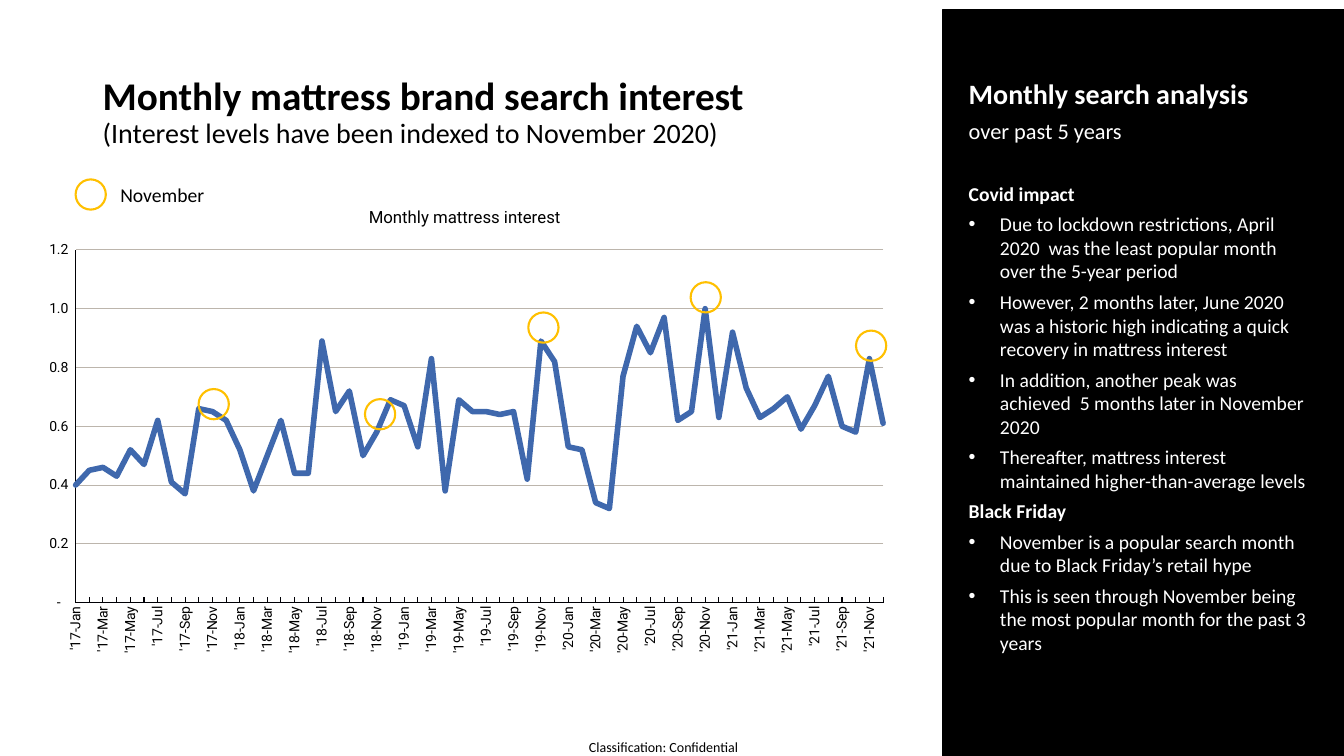
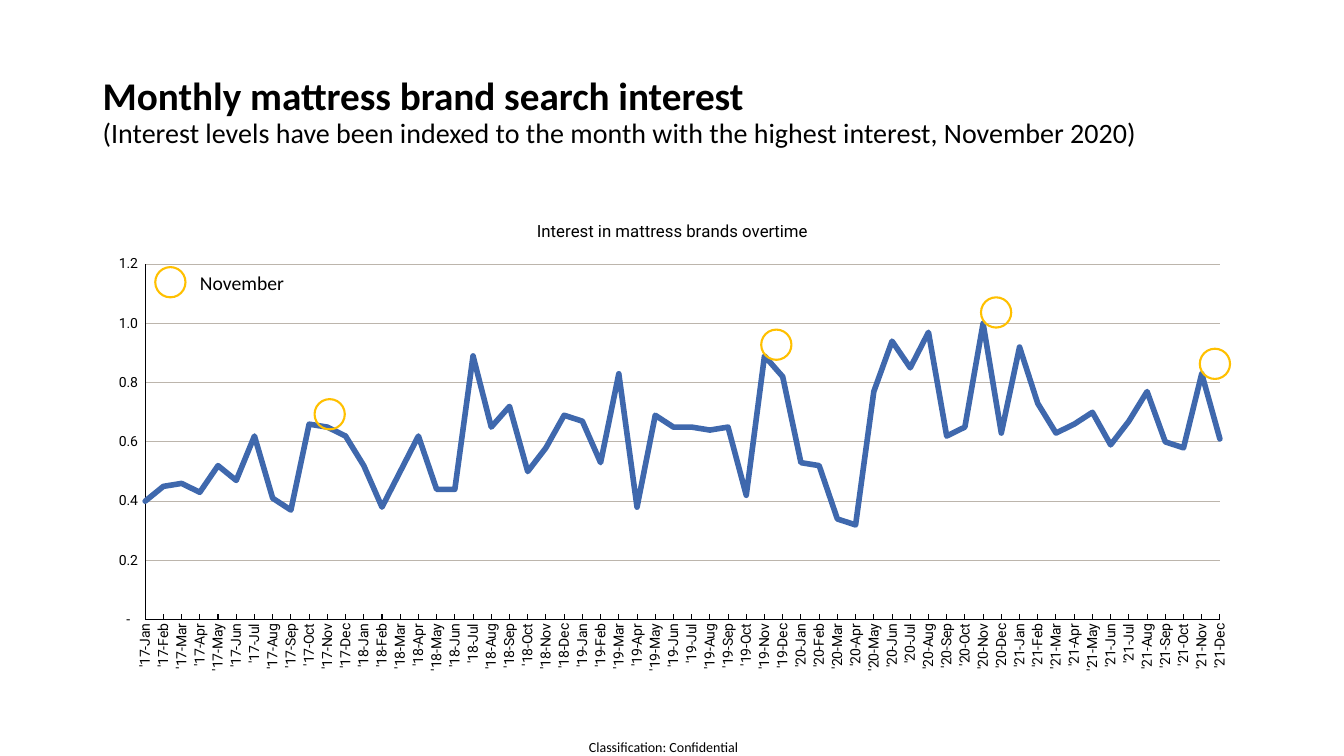
"""Build two slides on monthly mattress brand search interest."""
import dataclasses

import pptx
import pptx.chart.data
import pptx.dml.color
import pptx.enum.chart
import pptx.enum.shapes
import pptx.enum.text
import pptx.oxml.ns
import pptx.oxml.xmlchemy
import pptx.util

Inches = pptx.util.Inches
Pt = pptx.util.Pt
ALIGN = pptx.enum.text.PP_ALIGN
ANCHOR = pptx.enum.text.MSO_ANCHOR
SHAPE = pptx.enum.shapes.MSO_SHAPE
TICK = pptx.enum.chart.XL_TICK_MARK


@dataclasses.dataclass(frozen=True)
class Theme:
    body_font: str = "Calibri"
    chart_font: str = "Roboto"
    ink: str = "000000"
    paper: str = "FFFFFF"
    series: str = "3F68AD"
    marker: str = "FFC000"
    axis: str = "000005"
    grid: str = "BCB5AC"
    title_size: int = 28
    heading_size: int = 20
    lead_size: int = 16
    body_size: int = 14
    chart_title_size: int = 12
    small_size: int = 10


NAMES = ["Jan", "Feb", "Mar", "Apr", "May", "Jun",
         "Jul", "Aug", "Sep", "Oct", "Nov", "Dec"]
MONTHS = [f"'{year}-{name}" for year in range(17, 22) for name in NAMES]
INTEREST = [
    0.4, 0.45, 0.46, 0.43, 0.52, 0.47, 0.62, 0.41, 0.37, 0.66, 0.65, 0.62,
    0.52, 0.38, 0.5, 0.62, 0.44, 0.44, 0.89, 0.65, 0.72, 0.5, 0.58, 0.69,
    0.67, 0.53, 0.83, 0.38, 0.69, 0.65, 0.65, 0.64, 0.65, 0.42, 0.89, 0.82,
    0.53, 0.52, 0.34, 0.32, 0.77, 0.94, 0.85, 0.97, 0.62, 0.65, 1, 0.63,
    0.92, 0.73, 0.63, 0.66, 0.7, 0.59, 0.67, 0.77, 0.6, 0.58, 0.83, 0.61,
]
ANALYSIS = [
    ("Covid impact", [
        "Due to lockdown restrictions, April 2020  was the least popular month over the 5-year period",
        "However, 2 months later, June 2020 was a historic high indicating a quick recovery in mattress interest",
        "In addition, another peak was achieved  5 months later in November 2020",
        "Thereafter, mattress interest maintained higher-than-average levels",
    ]),
    ("Black Friday", [
        "November is a popular search month due to Black Friday’s retail hype",
        "This is seen through November being the most popular month for the past 3 years",
    ]),
]


def color(value):
    return pptx.dml.color.RGBColor.from_string(value)


def element(tag, **attributes):
    node = pptx.oxml.xmlchemy.OxmlElement(tag)
    for name, value in attributes.items():
        node.set(name, str(value))
    return node


class SearchDeck:
    def __init__(self, theme):
        self.theme = theme
        self.deck = pptx.Presentation()
        self.deck.slide_width = Inches(13.33)
        self.deck.slide_height = Inches(7.5)
        self.page = None

    def add_page(self, subtitle, title_width):
        self.page = self.deck.slides.add_slide(self.deck.slide_layouts[6])
        self.footer()
        self.title(subtitle, title_width)

    def style(self, font, size, shade, bold=False, face=None):
        font.name = face or self.theme.body_font
        font.size = Pt(size)
        font.bold = bold
        font.color.rgb = color(shade)

    def span(self, para, text, size, shade=None, bold=False):
        run = para.add_run()
        run.text = text
        self.style(run.font, size, shade or self.theme.ink, bold)

    def box(self, left, top, width, height, anchor=ANCHOR.MIDDLE):
        frame = self.page.shapes.add_textbox(
            Inches(left), Inches(top), Inches(width), Inches(height)).text_frame
        frame.word_wrap = True
        frame.vertical_anchor = anchor
        return frame

    def footer(self):
        frame = self.box(5.82, 7.33, 1.52, 0.17)
        frame.margin_left = frame.margin_right = 0
        frame.margin_top = frame.margin_bottom = 0
        para = frame.paragraphs[0]
        para.alignment = ALIGN.CENTER
        self.span(para, "Classification: Confidential", self.theme.small_size)

    def title(self, subtitle, width):
        para = self.box(0.92, 0.4, width, 1.45).paragraphs[0]
        para.line_spacing = 0.9
        self.span(para, "Monthly mattress brand search interest",
                  self.theme.title_size, bold=True)
        para.add_line_break()
        self.span(para, subtitle, self.theme.heading_size)

    def panel(self, left, top, width, height):
        panel = self.page.shapes.add_shape(
            SHAPE.RECTANGLE, Inches(left), Inches(top), Inches(width), Inches(height))
        panel.shadow.inherit = False
        panel.fill.solid()
        panel.fill.fore_color.rgb = color(self.theme.ink)
        panel.line.color.rgb = color(self.theme.ink)
        panel.line.width = Pt(1)

    def analysis(self, heading, lead, sections):
        theme = self.theme
        frame = self.box(9.51, 0.71, 3.6, 5.88, ANCHOR.TOP)
        lines = [(heading, theme.heading_size, True, False, 5),
                 (lead, theme.lead_size, False, False, 5)]
        for index, (name, points) in enumerate(sections):
            lines.append((name, theme.body_size, True, False, 5 if index else 27))
            lines += [(point, theme.body_size, False, True, 5) for point in points]
        for index, (text, size, bold, bulleted, space) in enumerate(lines):
            para = frame.add_paragraph() if index else frame.paragraphs[0]
            para.space_before = Pt(space)
            self.span(para, text, size, theme.paper, bold)
            if bulleted:
                self.bullet(para)

    def bullet(self, para):
        properties = para._p.get_or_add_pPr()
        properties.set("marL", str(Inches(0.31)))
        properties.set("indent", str(-Inches(0.31)))
        properties.append(element("a:buFont", typeface="Arial"))
        properties.append(element("a:buChar", char="•"))

    def marker(self, left, top):
        ring = self.page.shapes.add_shape(
            SHAPE.OVAL, Inches(left), Inches(top), Inches(0.3), Inches(0.3))
        ring.shadow.inherit = False
        ring.fill.background()
        ring.line.color.rgb = color(self.theme.marker)
        ring.line.width = Pt(1.5)

    def legend(self, left, top):
        self.marker(left + 0.15, top + 0.06)
        para = self.box(left, top, 2.02, 0.43).paragraphs[0]
        para.alignment = ALIGN.CENTER
        self.span(para, "November", self.theme.body_size)

    def chart(self, title, frame, plot, label_skip):
        theme = self.theme
        data = pptx.chart.data.CategoryChartData()
        data.categories = MONTHS
        data.add_series("Series 1", INTEREST)
        chart = self.page.shapes.add_chart(
            pptx.enum.chart.XL_CHART_TYPE.LINE, *map(Inches, frame), data).chart
        self.style(chart.font, theme.small_size, theme.ink)
        chart.has_legend = False
        chart.has_title = True
        run = chart.chart_title.text_frame.paragraphs[0].add_run()
        run.text = title
        self.style(run.font, theme.chart_title_size, theme.ink, face=theme.chart_font)
        chart.plots[0].vary_by_categories = False
        series = chart.plots[0].series[0]
        series.smooth = False
        series.marker.style = pptx.enum.chart.XL_MARKER_STYLE.NONE
        series.format.line.color.rgb = color(theme.series)
        series.format.line.width = Pt(4)
        series.format.line._get_or_add_ln().set("cap", "rnd")
        self.axes(chart, label_skip)
        self.place_plot(chart, frame, plot)

    def axes(self, chart, label_skip):
        theme = self.theme
        months, values = chart.category_axis, chart.value_axis
        for axis, tick in ((months, TICK.INSIDE), (values, TICK.NONE)):
            axis.major_tick_mark = tick
            axis.minor_tick_mark = TICK.NONE
            axis.format.line.color.rgb = color(theme.axis)
            axis.format.line.width = Pt(0.75)
            self.style(axis.tick_labels.font, theme.small_size, theme.ink,
                       face=theme.chart_font)
        values.minimum_scale, values.maximum_scale, values.major_unit = 0, 1.2, 0.2
        values.tick_labels.number_format = '_(* #,##0.0_);_(* \\(#,##0.0\\);_(* "-"?_)'
        values.tick_labels.number_format_is_linked = False
        values.has_major_gridlines = True
        values.major_gridlines.format.line.color.rgb = color(theme.grid)
        values.major_gridlines.format.line.width = Pt(0.75)
        qn = pptx.oxml.ns.qn
        body = months._element.find(qn("c:txPr")).find(qn("a:bodyPr"))
        body.set("rot", "-5400000")
        body.set("vert", "horz")
        months._element.find(qn("c:noMultiLvlLbl")).addprevious(
            element("c:tickLblSkip", val=label_skip))
        for old in values._element.findall(qn("c:crossBetween")):
            values._element.remove(old)
        values._element.find(qn("c:crosses")).addnext(
            element("c:crossBetween", val="midCat"))

    def place_plot(self, chart, frame, plot):
        qn = pptx.oxml.ns.qn
        area = chart._chartSpace.chart.plotArea
        for old in area.findall(qn("c:layout")):
            area.remove(old)
        left, top, width, height = frame
        manual = element("c:manualLayout")
        manual.append(element("c:layoutTarget", val="inner"))
        manual.append(element("c:xMode", val="edge"))
        manual.append(element("c:yMode", val="edge"))
        shares = ((plot[0] - left) / width, (plot[1] - top) / height,
                  plot[2] / width, plot[3] / height)
        for name, share in zip("xywh", shares):
            manual.append(element(f"c:{name}", val=round(share, 4)))
        layout = element("c:layout")
        layout.append(manual)
        area.insert(0, layout)


def main():
    show = SearchDeck(Theme())

    show.add_page("(Interest levels have been indexed to November 2020)", 8.6)
    show.panel(9.35, 0.1, 3.98, 7.4)
    show.analysis("Monthly search analysis", "over past 5 years", ANALYSIS)
    show.chart("Monthly mattress interest", (0.28, 1.86, 8.66, 4.72),
               (0.75, 2.48, 8.01, 3.5), 2)
    for spot in ((1.97, 3.86), (3.62, 3.96), (5.24, 3.1), (6.85, 2.8), (8.49, 3.28)):
        show.marker(*spot)
    show.legend(0.6, 1.72)

    show.add_page("(Interest levels have been indexed to the month with "
                  "the highest interest, November 2020)", 11.5)
    show.chart("Interest in mattress brands overtime", (0.92, 2, 11.5, 4.76),
               (1.44, 2.62, 10.66, 3.53), 1)
    for spot in ((3.12, 3.96), (7.55, 3.27), (9.73, 2.95), (11.9, 3.46)):
        show.marker(*spot)
    show.legend(1.39, 2.59)

    show.deck.save("out.pptx")


if __name__ == "__main__":
    main()
